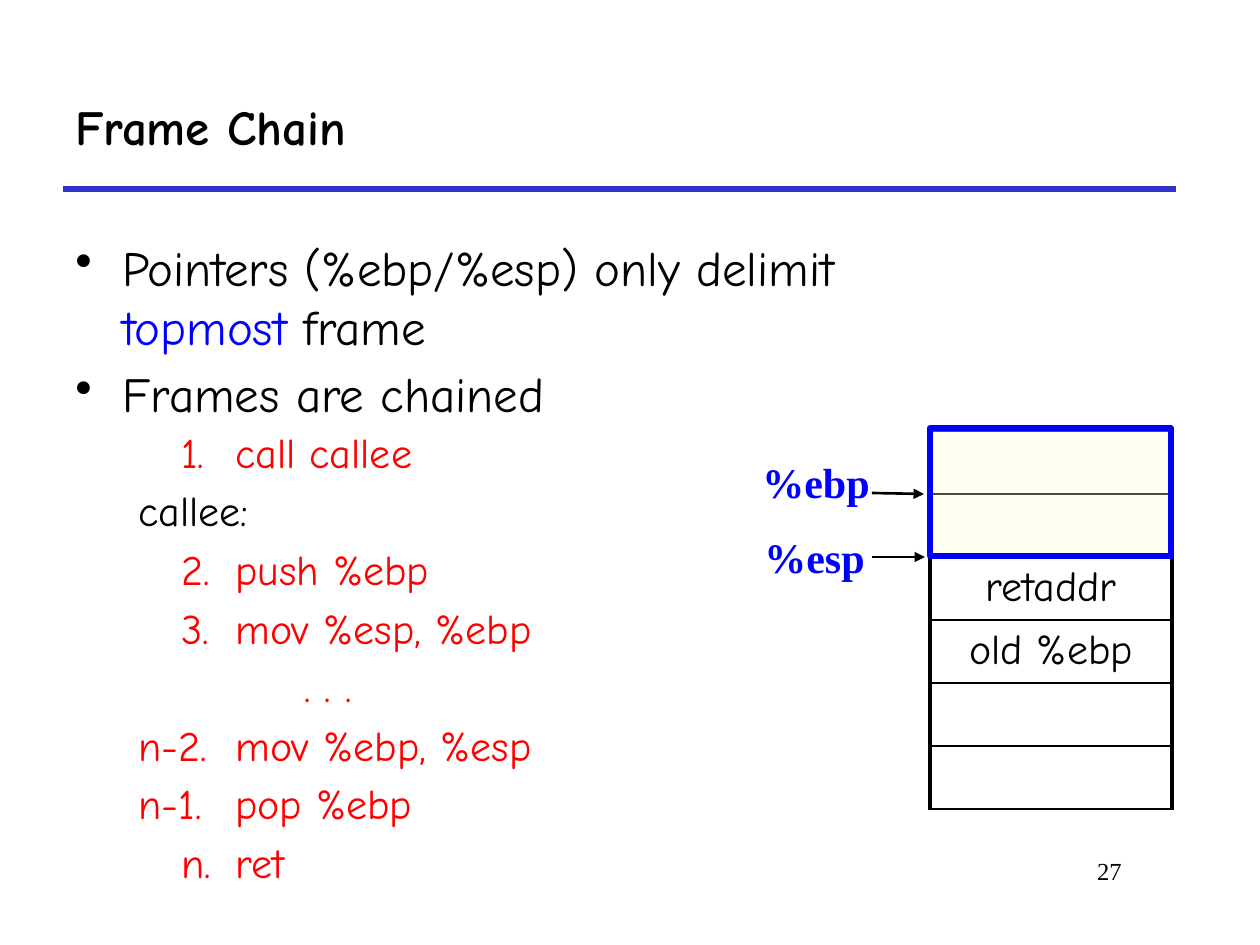
from lxml.etree import SubElement
from pptx import Presentation
from pptx.dml.color import RGBColor
from pptx.enum.shapes import MSO_CONNECTOR, MSO_SHAPE
from pptx.enum.text import MSO_ANCHOR, PP_ALIGN
from pptx.oxml.ns import qn
from pptx.util import Emu, Pt

BLACK = RGBColor(0x00, 0x00, 0x00)
WHITE = RGBColor(0xFF, 0xFF, 0xFF)
RED = RGBColor(0xFF, 0x00, 0x00)
BLUE = RGBColor(0x00, 0x00, 0xFF)
RULE_BLUE = RGBColor(0x33, 0x33, 0xCC)
PALE_YELLOW = RGBColor(0xFF, 0xFF, 0xCC)
HAND = "Comic Neue"
SERIF = "Times New Roman"


def px(count):
    return Emu(round(count * 914400 / 126))


def add_run(para, text, size, color=BLACK, font=HAND, bold=False):
    span = para.add_run()
    span.text = text
    span.font.size = Pt(size)
    span.font.name = font
    span.font.bold = bold
    span.font.color.rgb = color


def add_box(slide, left, top, width, height, wrap=True):
    box = slide.shapes.add_textbox(px(left), px(top), px(width), px(height))
    box.text_frame.word_wrap = wrap
    return box.text_frame


def next_para(frame, index, gap):
    if index == 0:
        return frame.paragraphs[0]
    para = frame.add_paragraph()
    para.space_before = Pt(gap)
    return para


def set_indent(para, margin, first_line):
    properties = para._p.get_or_add_pPr()
    properties.set("marL", str(px(margin)))
    properties.set("indent", str(px(first_line)))
    return properties


def add_line(slide, start, end, color, weight, arrow=False):
    line = slide.shapes.add_connector(
        MSO_CONNECTOR.STRAIGHT, *map(px, start), *map(px, end))
    line.line.color.rgb = color
    line.line.width = Pt(weight)
    if arrow:
        SubElement(line.line._get_or_add_ln(), qn("a:tailEnd"), type="triangle")
    SubElement(line._element.spPr, qn("a:effectLst"))


def add_title(slide, text):
    frame = add_box(slide, 63, 63, 1113, 126)
    frame.vertical_anchor = MSO_ANCHOR.MIDDLE
    add_run(frame.paragraphs[0], text, 28, bold=True)


def add_bullets(slide, items):
    frame = add_box(slide, 63, 231, 835, 210)
    for index, spans in enumerate(items):
        para = next_para(frame, index, 5.2)
        properties = set_indent(para, 47, -47)
        SubElement(properties, qn("a:buChar"), char="•")
        for text, color in spans:
            add_run(para, text, 28, color)


def add_steps(slide, steps):
    frame = add_box(slide, 63, 420, 630, 491)
    for index, (text, start, margin, color) in enumerate(steps):
        para = next_para(frame, index, 4.7)
        set_indent(para, margin, start - margin)
        add_run(para, text, 24, color)


def set_cell_borders(cell):
    properties = cell._tc.get_or_add_tcPr()
    for side, weight in (("L", 2.25), ("R", 2.25), ("T", 1), ("B", 1)):
        border = SubElement(properties, qn(f"a:ln{side}"), w=str(Pt(weight)))
        fill = SubElement(border, qn("a:solidFill"))
        SubElement(fill, qn("a:srgbClr"), val=str(BLACK))


def add_stack(slide, labels):
    row_height = 63
    table = slide.shapes.add_table(
        len(labels), 1, px(930), px(431), px(242), px(row_height * len(labels))).table
    table.first_row = False
    table.horz_banding = False
    for row, label in enumerate(labels):
        cell = table.cell(row, 0)
        set_cell_borders(cell)
        cell.fill.solid()
        cell.fill.fore_color.rgb = WHITE
        if label:
            para = cell.text_frame.paragraphs[0]
            para.alignment = PP_ALIGN.CENTER
            add_run(para, label, 24)


def add_frame_outline(slide):
    outline = slide.shapes.add_shape(
        MSO_SHAPE.RECTANGLE, px(930), px(428), px(241), px(128))
    outline.shadow.inherit = False
    outline.fill.solid()
    outline.fill.fore_color.rgb = PALE_YELLOW
    color = outline._element.spPr.find(qn("a:solidFill"))[0]
    SubElement(color, qn("a:alpha"), val="30000")
    outline.line.color.rgb = BLUE
    outline.line.width = Pt(3)


def add_pointer(slide, text, left, top, width, start, end):
    frame = add_box(slide, left, top, width, 64, wrap=False)
    add_run(frame.paragraphs[0], text, 24, BLUE, SERIF, bold=True)
    add_line(slide, start, end, BLACK, 1.5, arrow=True)


def add_page_number(slide, number):
    para = add_box(slide, 955, 850, 179, 63).paragraphs[0]
    para.alignment = PP_ALIGN.RIGHT
    add_run(para, number, 14, font=SERIF)


def main():
    deck = Presentation()
    deck.slide_width = px(1260)
    deck.slide_height = px(945)
    slide = deck.slides.add_slide(deck.slide_layouts[6])

    add_line(slide, (63, 189), (1176, 189), RULE_BLUE, 3)
    add_stack(slide, ["", "", "retaddr", "old %ebp", "", ""])
    add_frame_outline(slide)
    add_page_number(slide, "27")
    add_title(slide, "Frame Chain")
    add_bullets(slide, [
        [("Pointers (%ebp/%esp) only delimit ", BLACK),
         ("topmost ", BLUE), ("frame", BLACK)],
        [("Frames are chained", BLACK)],
    ])
    add_pointer(slide, "%ebp", 750, 450, 134, (872, 493), (924, 494))
    add_pointer(slide, "%esp", 752, 525, 127, (872, 557), (925, 557))

    outer, inner, code, dots = 63, 106, 160, 229
    add_steps(slide, [
        ("1.\tcall callee", inner, code, RED),
        ("callee:", outer, outer, BLACK),
        ("2.\tpush %ebp", inner, code, RED),
        ("3.\tmov %esp, %ebp", inner, code, RED),
        (". . .", dots, dots, RED),
        ("n-2.\tmov %ebp, %esp", outer, code, RED),
        ("n-1.\tpop %ebp", outer, code, RED),
        ("n.\tret", inner, code, RED),
    ])
    deck.save("out.pptx")


if __name__ == "__main__":
    main()
